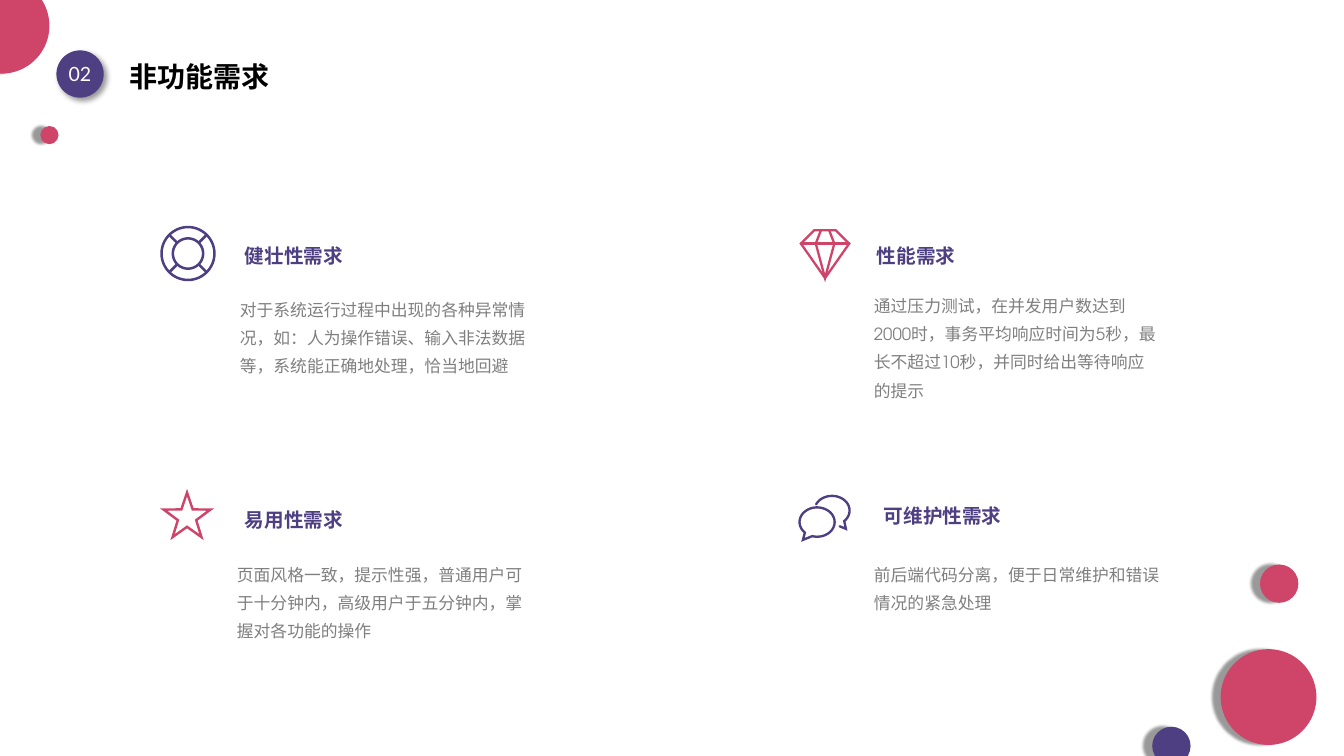
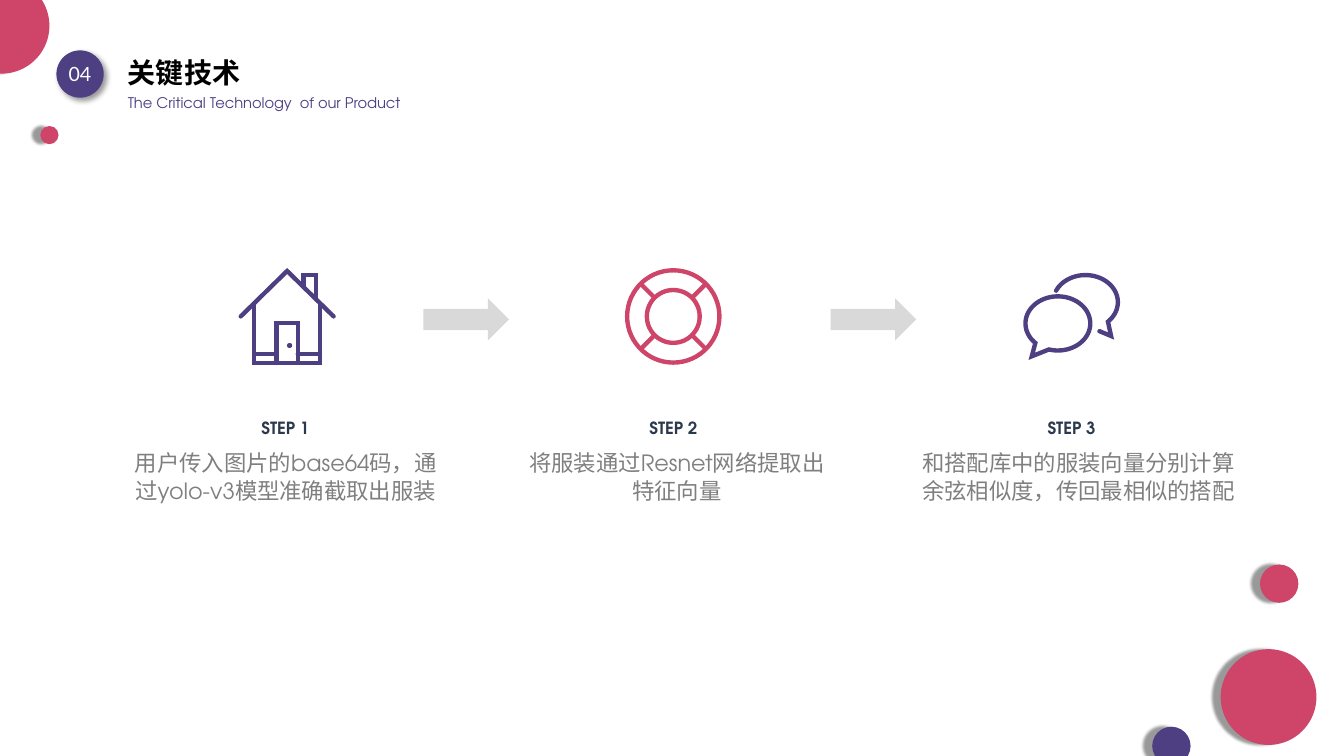
from math import cos, radians, sin

from lxml.etree import SubElement
from pptx import Presentation
from pptx.dml.color import RGBColor
from pptx.enum.shapes import MSO_SHAPE
from pptx.enum.text import MSO_ANCHOR, PP_ALIGN
from pptx.oxml.ns import qn
from pptx.util import Pt

ROSE = RGBColor(0xCE, 0x45, 0x69)
PURPLE = RGBColor(0x4D, 0x3F, 0x82)
GREY = RGBColor(0x7F, 0x7F, 0x7F)
PALE = RGBColor(0xD9, 0xD9, 0xD9)
NAVY = RGBColor(0x2C, 0x39, 0x4C)
BLACK = RGBColor(0, 0, 0)
WHITE = RGBColor(0xFF, 0xFF, 0xFF)

FONT = "TeX Gyre Adventor"
TITLE = {"name": "Calibri", "size": Pt(20), "bold": True, "color": BLACK}
NUMBER = {"name": "Lato", "size": Pt(14), "color": WHITE}
SUBTITLE = {"name": FONT, "size": Pt(10.5), "color": PURPLE}
HEADING = {"name": FONT, "size": Pt(14), "bold": True, "color": PURPLE}
STEP = {"name": FONT, "size": Pt(12), "bold": True, "color": NAVY}
BODY = {"name": FONT, "size": Pt(12), "color": GREY}
STEP_BODY = {**BODY, "size": Pt(16)}

LEFT_SHADOW = (2, 6, 180)
CORNER_SHADOW = (4, 3, 45)
BUBBLES = [
    (871.9, 463.7, 68.4, ROSE),
    (900, 403.2, 27.4, ROSE),
    (823, 519.1, 27.4, PURPLE),
    (-33.1, -15.8, 68.4, ROSE),
    (28.8, 90, 13, ROSE),
]
STROKE = 0.045


def arc(cx, cy, rx, ry, start=0, end=360, steps=60):
    angles = [radians(start + (end - start) * i / steps) for i in range(steps + 1)]
    return [(cx + rx * cos(a), cy + ry * sin(a)) for a in angles]


def spoke(angle):
    a = radians(angle)
    return [(0.5 + r * cos(a), 0.5 + r * sin(a)) for r in (0.29, 0.46)]


def star_point(i):
    a, r = radians(36 * i - 90), 0.18 if i % 2 else 0.46
    return 0.5 + r * cos(a), 0.53 + r * sin(a)


RING_ICON = [(arc(0.5, 0.5, r, r), True) for r in (0.477, 0.273)] + [
    (spoke(a), False) for a in range(45, 360, 90)
]
STAR_ICON = [([star_point(i) for i in range(10)], True)]
DIAMOND_ICON = [
    ([(0.29, 0.03), (0.71, 0.03), (0.97, 0.29), (0.5, 0.96), (0.03, 0.29)], True),
    ([(0.03, 0.29), (0.97, 0.29)], False),
    ([(0.42, 0.03), (0.32, 0.29), (0.5, 0.96), (0.68, 0.29), (0.58, 0.03)], False),
]
CHAT_ICON = [
    (arc(0.36, 0.52, 0.335, 0.28, 134, 466) + [(0.09, 0.86)], True),
    (arc(0.645, 0.3, 0.335, 0.28, 205, 406) + [(0.91, 0.65), (0.79, 0.6)], False),
]
HOUSE_ICON = [
    ([(0.02, 0.5), (0.5, 0.03), (0.98, 0.5)], False),
    ([(0.16, 0.38), (0.16, 0.98), (0.84, 0.98), (0.84, 0.38)], False),
    ([(0.39, 0.98), (0.39, 0.57), (0.61, 0.57), (0.61, 0.98)], False),
    ([(0.16, 0.89), (0.39, 0.89)], False),
    ([(0.61, 0.89), (0.84, 0.89)], False),
    ([(0.67, 0.18), (0.67, 0.07), (0.8, 0.07), (0.8, 0.3)], False),
    ([(0.52, 0.8), (0.53, 0.8)], False),
]


def write(shape, text, fmt, align=PP_ALIGN.LEFT, anchor=MSO_ANCHOR.TOP, inset=(7.2, 3.6)):
    tf = shape.text_frame
    dx, dy = (Pt(v) for v in inset)
    settings = {
        "word_wrap": True, "vertical_anchor": anchor,
        "margin_left": dx, "margin_right": dx, "margin_top": dy, "margin_bottom": dy,
    }
    for name, value in settings.items():
        setattr(tf, name, value)
    p = tf.paragraphs[0]
    p.alignment = align
    r = p.add_run()
    r.text = text
    for name, value in fmt.items():
        if name == "color":
            r.font.color.rgb = value
        else:
            setattr(r.font, name, value)
    return p


def add_text(s, box, text, fmt, **options):
    return write(s.shapes.add_textbox(*map(Pt, box)), text, fmt, **options)


def add_body(s, box, text, fmt, align=PP_ALIGN.LEFT):
    p = add_text(s, box, text, fmt, align=align, inset=(8.64, 4.32))
    p.line_spacing = Pt(20.2)
    p.space_before = Pt(fmt["size"].pt * 0.2)


def add_solid(s, kind, box, color):
    sp = s.shapes.add_shape(kind, *map(Pt, box))
    sp.shadow.inherit = False
    sp.fill.solid()
    sp.fill.fore_color.rgb = color
    sp.line.fill.background()
    return sp


def add_circle(s, x, y, size, color, shadow=LEFT_SHADOW):
    sp = add_solid(s, MSO_SHAPE.OVAL, (x, y, size, size), color)
    blur, dist, angle = shadow
    effects = sp._element.spPr.find(qn("a:effectLst"))
    outer = SubElement(effects, qn("a:outerShdw"), blurRad=str(Pt(blur)), dist=str(Pt(dist)),
                       dir=str(angle * 60000), algn="ctr", rotWithShape="0")
    black = SubElement(outer, qn("a:srgbClr"), val="000000")
    SubElement(black, qn("a:alpha"), val="40000")
    return sp


def add_icon(s, strokes, x, y, size, color):
    def place(point):
        return Pt(x + point[0] * size), Pt(y + point[1] * size)

    builder = None
    for points, closed in strokes:
        first, *rest = map(place, points)
        if builder is None:
            builder = s.shapes.build_freeform(*first)
        else:
            builder.move_to(*first)
        builder.add_line_segments(rest, close=closed)
    sp = builder.convert_to_shape()
    sp.shadow.inherit = False
    sp.fill.background()
    sp.line.color.rgb = color
    sp.line.width = Pt(round(size * STROKE, 2))
    SubElement(sp.line._ln, qn("a:miter"), lim="800000")
    sp.line._ln.set("cap", "rnd")


def add_slide(prs, number, title, x, y):
    s = prs.slides.add_slide(prs.slide_layouts[5])
    for bubble in BUBBLES:
        add_circle(s, *bubble)
    badge = add_circle(s, 40.3, 36, 33.8, PURPLE, CORNER_SHADOW)
    write(badge, number, NUMBER, PP_ALIGN.CENTER, MSO_ANCHOR.MIDDLE, (0, 0))
    sp = s.shapes.title
    sp.left, sp.top, sp.width, sp.height = map(Pt, (x, y, 300, 31.7))
    write(sp, title, TITLE)
    return s


def build_requirements(prs):
    s = add_slide(prs, "02", "非功能需求", 85, 38.9)
    requirements = [
        (RING_ICON, PURPLE, (114.5, 161.3, 39.6), "健壮性需求", (167.8, 170.6), (162.7, 203.8),
         "对于系统运行过程中出现的各种异常情况，如：人为操作错误、输入非法数据等，系统能正确地处理，恰当地回避"),
        (DIAMOND_ICON, ROSE, (571, 163.4, 36.7), "性能需求", (619.2, 170.6), (615.6, 200.9),
         "通过压力测试，在并发用户数达到2000时，事务平均响应时间为5秒，最长不超过10秒，并同时给出等待响应的提示"),
        (STAR_ICON, ROSE, (114.5, 349.2, 38.2), "易用性需求", (167.8, 358.6), (160.6, 393.1),
         "页面风格一致，提示性强，普通用户可于十分钟内，高级用户于五分钟内，掌握对各功能的操作"),
        (CHAT_ICON, PURPLE, (570.2, 353.5, 37.4), "可维护性需求", (624.2, 356.4), (615.6, 393.1),
         "前后端代码分离，便于日常维护和错误情况的紧急处理"),
    ]
    for icon, color, spot, heading, heading_at, body_at, body in requirements:
        add_icon(s, icon, *spot, color)
        add_text(s, (*heading_at, 120, 24.5), heading, HEADING, anchor=MSO_ANCHOR.MIDDLE)
        add_body(s, (*body_at, 221.8, 67), body, BODY)


def build_technology(prs):
    s = add_slide(prs, "04", "关键技术", 84.2, 36)
    add_text(s, (84.2, 63.4, 267, 32.4), "The Critical Technology  of our Product", SUBTITLE)
    steps = [
        (HOUSE_ICON, PURPLE, (170.6, 191.5), 203.8, 84.2, 239.8,
         "用户传入图片的base64码，通过yolo-v3模型准确截取出服装"),
        (RING_ICON, ROSE, (446.4, 191.5), 481, 363.6, 239.8,
         "将服装通过Resnet网络提取出特征向量"),
        (CHAT_ICON, PURPLE, (730.8, 195.1), 765.4, 645.1, 250.6,
         "和搭配库中的服装向量分别计算余弦相似度，传回最相似的搭配"),
    ]
    for i, (icon, color, spot, center, left, width, body) in enumerate(steps, 1):
        add_icon(s, icon, *spot, 69.1, color)
        add_text(s, (center - 50, 294.5, 100, 21.6), f"STEP {i}", STEP,
                 align=PP_ALIGN.CENTER, anchor=MSO_ANCHOR.MIDDLE)
        add_body(s, (left, 315.4, width, 47.5), body, STEP_BODY, PP_ALIGN.CENTER)
    for x in (302.4, 593.3):
        add_solid(s, MSO_SHAPE.RIGHT_ARROW, (x, 213.1, 61.2, 30.2), PALE)


def main():
    prs = Presentation()
    prs.slide_width, prs.slide_height = Pt(960), Pt(540)
    build_requirements(prs)
    build_technology(prs)
    prs.save("out.pptx")


if __name__ == "__main__":
    main()
